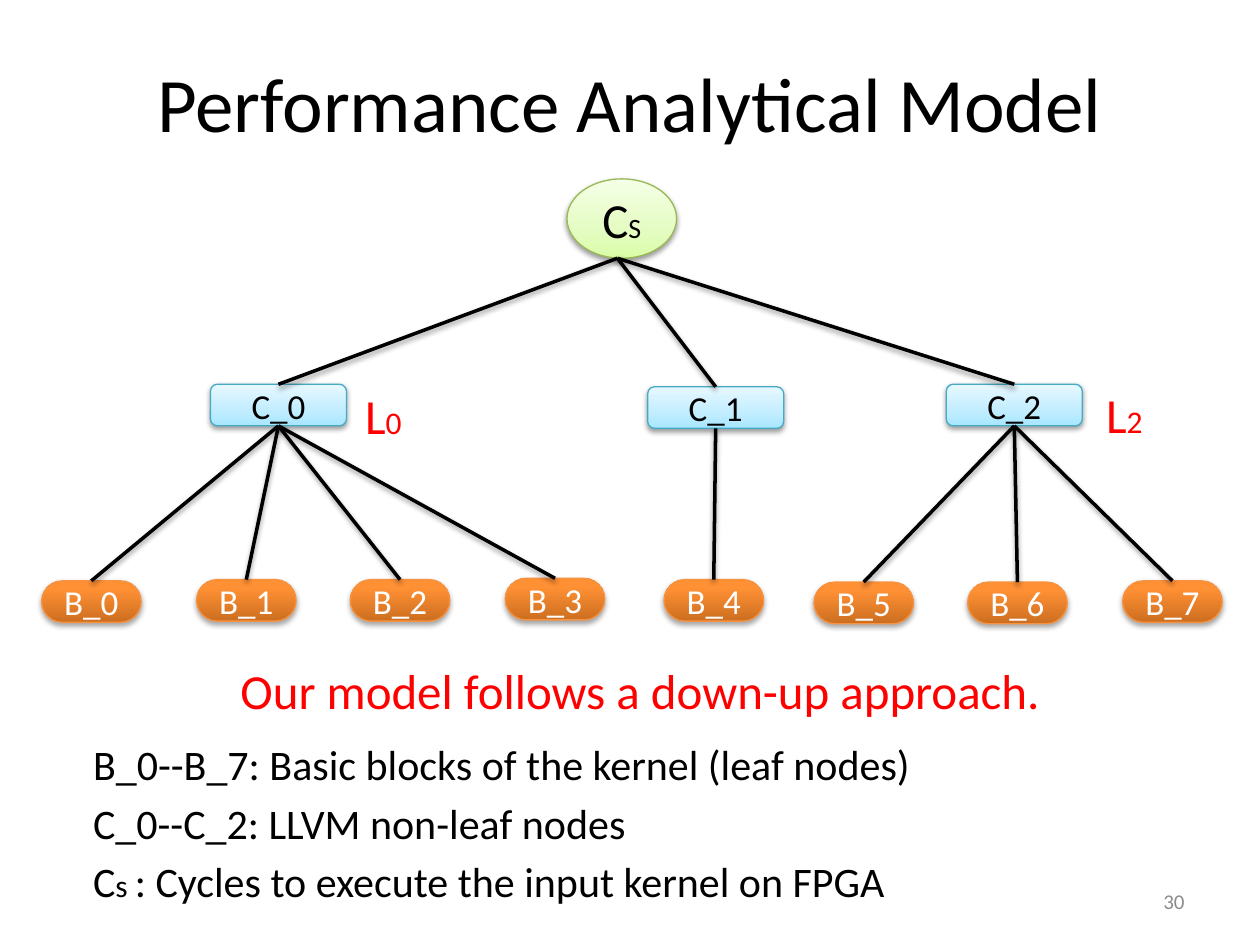
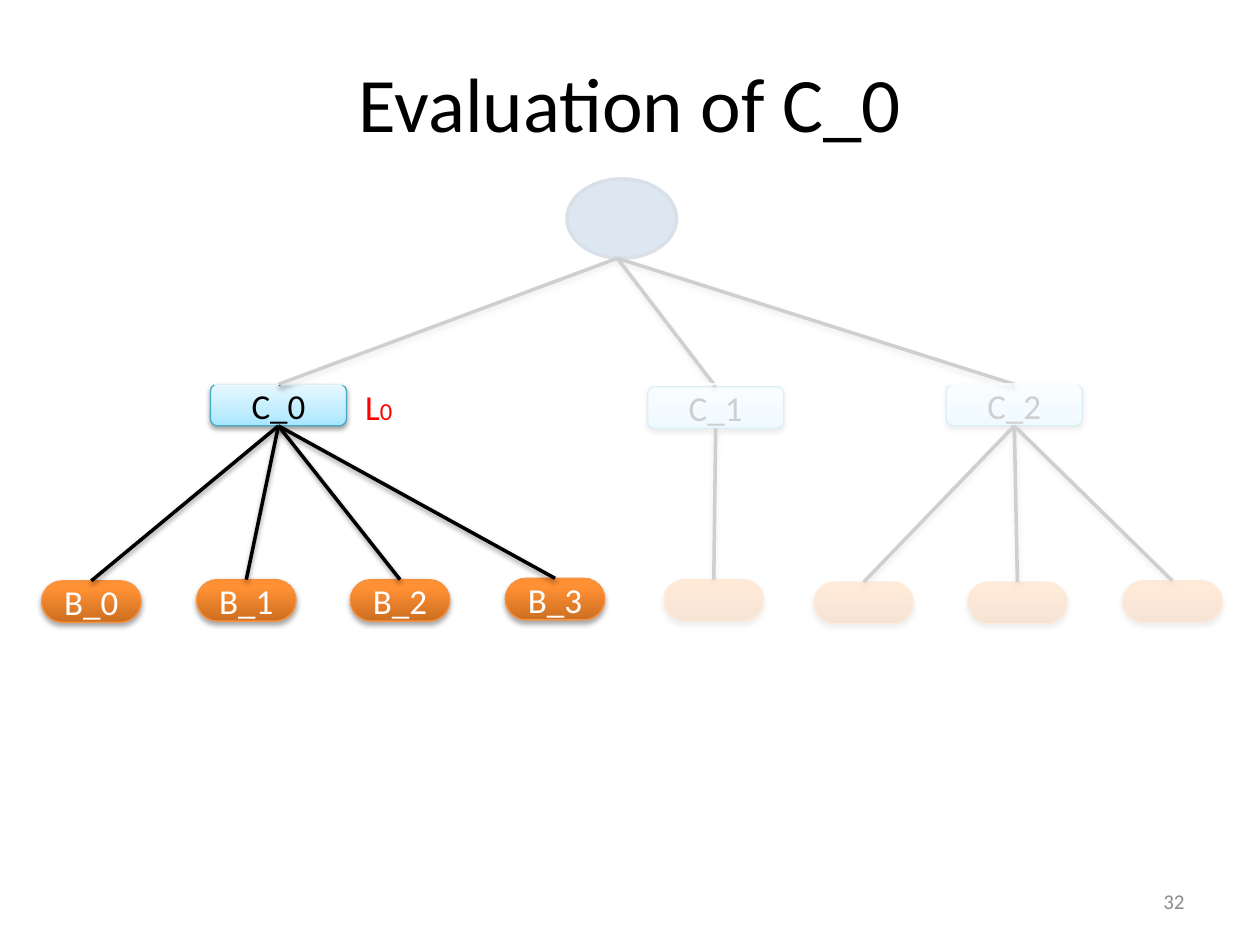
from lxml.etree import SubElement
from pptx import Presentation
from pptx.dml.color import RGBColor
from pptx.enum.shapes import MSO_CONNECTOR, MSO_SHAPE
from pptx.enum.text import MSO_ANCHOR as Anchor, PP_ALIGN as Align
from pptx.oxml import parse_xml
from pptx.oxml.ns import nsdecls, qn
from pptx.util import Inches, Pt

FONT = "Calibri"
BLACK = RGBColor(0x00, 0x00, 0x00)
WHITE = RGBColor(0xFF, 0xFF, 0xFF)
RED = RGBColor(0xFF, 0x00, 0x00)
GRAY = RGBColor(0x8C, 0x8C, 0x8C)
BLUE = RGBColor(0x4F, 0x81, 0xBD)
DARK_BLUE = RGBColor(0x3A, 0x5F, 0x8C)
GREEN_LINE = RGBColor(0x98, 0xB9, 0x55)
CYAN_LINE = RGBColor(0x46, 0xAA, 0xC5)
ORANGE_LINE = RGBColor(0xF6, 0x92, 0x40)
GREEN_STOPS = [(0, RGBColor(0xDA, 0xFD, 0xA7)), (35, RGBColor(0xE4, 0xFC, 0xC2)),
               (100, RGBColor(0xF5, 0xFF, 0xE7))]
CYAN_STOPS = [(0, RGBColor(0xA7, 0xE6, 0xFF)), (35, RGBColor(0xC1, 0xED, 0xFF)),
              (100, RGBColor(0xE7, 0xF8, 0xFF))]
ORANGE_STOPS = [(0, RGBColor(0xCC, 0x6E, 0x20)), (80, RGBColor(0xFF, 0x90, 0x34)),
                (100, RGBColor(0xFF, 0x91, 0x36))]

# Node kinds: preset, width, height, gradient stops, line, line width, text colour
STYLES = {
    "root": (MSO_SHAPE.OVAL, 0.87, 0.63, GREEN_STOPS, GREEN_LINE, 0.75, BLACK),
    "plain root": (MSO_SHAPE.OVAL, 0.87, 0.63, None, DARK_BLUE, 2, WHITE),
    "branch": (MSO_SHAPE.ROUNDED_RECTANGLE, 1.08, 0.33, CYAN_STOPS, CYAN_LINE, 0.75, BLACK),
    "leaf": (MSO_SHAPE.ROUNDED_RECTANGLE, 0.79, 0.33, ORANGE_STOPS, ORANGE_LINE, 0.75, WHITE),
}
BRANCHES = {"C_0": (1.67, 3.05), "C_1": (5.14, 3.07), "C_2": (7.51, 3.05)}
LEAVES = {"B_0": (0.33, 4.61), "B_1": (1.56, 4.6), "B_2": (2.78, 4.6), "B_3": (4.01, 4.59),
          "B_4": (5.27, 4.6), "B_5": (6.46, 4.62), "B_6": (7.68, 4.62), "B_7": (8.91, 4.61)}
CHILDREN = {"C_0": ["B_0", "B_1", "B_2", "B_3"], "C_1": ["B_4"], "C_2": ["B_5", "B_6", "B_7"]}
ROOT_FOOT = (4.9, 2.05)

TITLE_BOX = (0.5, 0.3, 9, 1.01)
NUMBER_BOX = (7.17, 6.95, 2.33, 0.4)
SLIDES = [
    {"title": "Performance Analytical Model", "number": "30", "root": "root",
     "veils": [], "unlabelled": [],
     "labels": [((2.8, 3.01, 0.83, 0.57), [("L", 28), ("0", 18)]),
                ((8.68, 3, 0.55, 0.57), [("L", 28), ("2", 18)]),
                ((1.81, 5.19, 6.95, 0.57), [("Our model follows a down-up approach.", 28)])],
     "legend": [[("B_0--B_7: Basic blocks of the kernel (leaf nodes)", 24)],
                [("C_0--C_2: LLVM non-leaf nodes", 24)],
                [("C", 24), ("s ", 18), (": Cycles to execute the input kernel on FPGA", 24)]]},
    {"title": "Evaluation of C_0", "number": "32", "root": "plain root",
     "veils": [(4.9, 3.04, 4.89, 2.02), (1.7, 1.31, 6.9, 1.75)],
     "unlabelled": ["Cs", "B_4", "B_5", "B_6", "B_7"],
     "labels": [((2.8, 3.01, 0.83, 0.44), [("L", 20), ("0", 14)])],
     "legend": []},
]


def write_text(shape, paragraphs, color, align=Align.LEFT, anchor=Anchor.TOP):
    frame = shape.text_frame
    frame.word_wrap = True
    frame.vertical_anchor = anchor
    for index, runs in enumerate(paragraphs):
        paragraph = frame.add_paragraph() if index else frame.paragraphs[0]
        paragraph.alignment = align
        if index:
            paragraph.space_before = Pt(4.8)
        for text, size in runs:
            run = paragraph.add_run()
            run.text = text
            run.font.name = FONT
            run.font.size = Pt(size)
            run.font.color.rgb = color


def add_shadow(item, opacity=38, distance=1.6):
    item._element.spPr.append(parse_xml(
        f'<a:effectLst {nsdecls("a")}><a:outerShdw blurRad="{Pt(3.1)}" dist="{Pt(distance)}" '
        f'dir="5400000" rotWithShape="0"><a:srgbClr val="{BLACK}">'
        f'<a:alpha val="{opacity * 1000}"/></a:srgbClr></a:outerShdw></a:effectLst>'))


presentation = Presentation()
presentation.slide_width = Inches(10)
presentation.slide_height = Inches(7.5)

for content in SLIDES:
    slide = presentation.slides.add_slide(presentation.slide_layouts[6])
    shapes = slide.shapes

    # Title and slide number
    title = shapes.add_textbox(*map(Inches, TITLE_BOX))
    write_text(title, [[(content["title"], 44)]], BLACK, Align.CENTER, Anchor.MIDDLE)
    number = shapes.add_textbox(*map(Inches, NUMBER_BOX))
    write_text(number, [[(content["number"], 12)]], GRAY, Align.RIGHT, Anchor.MIDDLE)

    # Tree nodes
    tree = [("Cs", content["root"], (4.5, 1.42), [("C", 28), ("S", 16)])]
    tree += [(name, "branch", corner, [(name, 20)]) for name, corner in BRANCHES.items()]
    tree += [(name, "leaf", corner, [(name, 20)]) for name, corner in LEAVES.items()]
    nodes = {}
    for name, kind, corner, runs in tree:
        preset, width, height, stops, line_color, line_width, text_color = STYLES[kind]
        node = shapes.add_shape(preset, *map(Inches, (*corner, width, height)))
        node.line.color.rgb = line_color
        node.line.width = Pt(line_width)
        if stops:
            node.fill.gradient()
            node.fill.gradient_angle = 90
            stop_list = node._element.spPr.find(qn("a:gradFill")).find(qn("a:gsLst"))
            stop_list.clear()
            for position, color in stops:
                stop = SubElement(stop_list, qn("a:gs"), pos=str(position * 1000))
                SubElement(stop, qn("a:srgbClr"), val=str(color))
            add_shadow(node, *((35, 1.8) if kind == "leaf" else ()))
        else:
            node.fill.solid()
            node.fill.fore_color.rgb = BLUE
            node.shadow.inherit = False
        if kind == "leaf":
            node.adjustments[0] = 0.5
        if name not in content["unlabelled"]:
            write_text(node, [runs], text_color, Align.CENTER, Anchor.MIDDLE)
        nodes[name] = node

    # Tree edges: root to branches, branches to leaves
    edges = [(None, branch) for branch in BRANCHES]
    edges += [(branch, leaf) for branch, leaves in CHILDREN.items() for leaf in leaves]
    for parent, child in edges:
        edge = shapes.add_connector(MSO_CONNECTOR.STRAIGHT, *map(Inches, ROOT_FOOT * 2))
        if parent:
            edge.begin_connect(nodes[parent], 2)
        edge.end_connect(nodes[child], 0)
        edge.line.color.rgb = BLACK
        edge.line.width = Pt(2)
        add_shadow(edge)

    # Translucent veils over the inactive parts
    for area in content["veils"]:
        veil = shapes.add_shape(MSO_SHAPE.RECTANGLE, *map(Inches, area))
        veil.fill.solid()
        veil.fill.fore_color.rgb = WHITE
        veil_color = veil._element.spPr.find(qn("a:solidFill")).find(qn("a:srgbClr"))
        SubElement(veil_color, qn("a:alpha"), val="81000")
        veil.line.fill.background()
        veil.shadow.inherit = False

    # Red labels and legend
    for area, runs in content["labels"]:
        label = shapes.add_textbox(*map(Inches, area))
        write_text(label, [runs], RED)
    if content["legend"]:
        legend = shapes.add_textbox(*map(Inches, (0.64, 5.81, 9, 1.38)))
        write_text(legend, content["legend"], BLACK)

presentation.save("out.pptx")
